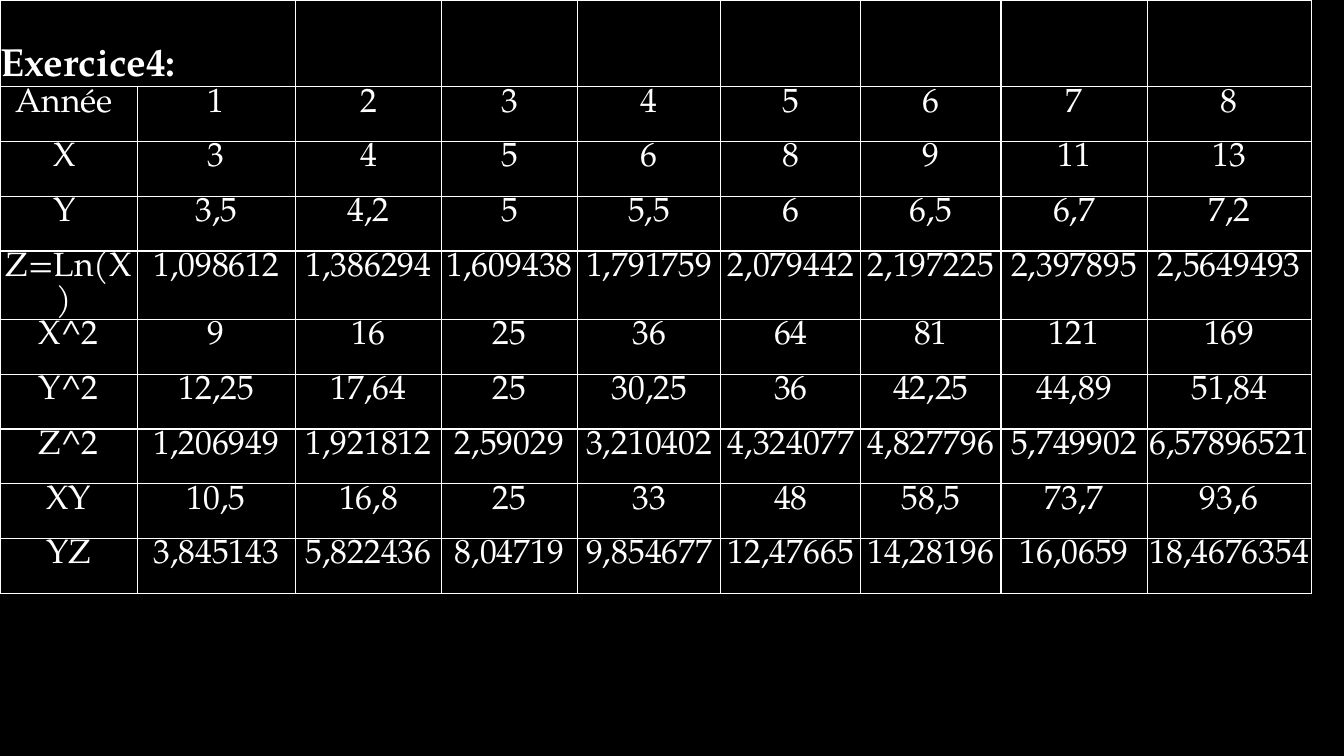
import lxml.etree
import pptx
import pptx.dml.color
import pptx.enum.text
import pptx.oxml.ns
import pptx.util

Inches = pptx.util.Inches
BLACK = pptx.dml.color.RGBColor(0x00, 0x00, 0x00)
WHITE = pptx.dml.color.RGBColor(0xFF, 0xFF, 0xFF)
FONT = "TeX Gyre Pagella"
TITLE = "Exercice4:"
TITLE_HEIGHT = 0.86
COLUMN_WIDTHS = [1.36, 1.57, 1.45, 1.35, 1.42, 1.39, 1.39, 1.45, 1.63]
SERIES = [
    ["Année ", "1", "2", "3", "4", "5", "6", "7", "8"],
    ["X ", "3", "4", "5", "6", "8", "9", "11", "13"],
    ["Y ", "3,5", "4,2", "5", "5,5", "6", "6,5", "6,7", "7,2"],
    ["Z=Ln(X) ", "1,098612", "1,386294", "1,609438", "1,791759",
     "2,079442", "2,197225", "2,397895", "2,5649493"],
    ["X^2", "9", "16", "25", "36", "64", "81", "121", "169"],
    ["Y^2", "12,25", "17,64", "25", "30,25", "36", "42,25", "44,89", "51,84"],
    ["Z^2", "1,206949", "1,921812", "2,59029", "3,210402",
     "4,324077", "4,827796", "5,749902", "6,57896521"],
    ["XY", "10,5", "16,8", "25", "33", "48", "58,5", "73,7", "93,6"],
    ["YZ", "3,845143", "5,822436", "8,04719", "9,854677",
     "12,47665", "14,28196", "16,0659", "18,4676354"],
]


def style_cell(cell):
    """Give a cell thin white borders, no fill and tight margins."""
    properties = cell._tc.get_or_add_tcPr()
    for side in ("a:lnL", "a:lnR", "a:lnT", "a:lnB"):
        border = lxml.etree.SubElement(properties, pptx.oxml.ns.qn(side), w=str(pptx.util.Pt(1)))
        fill = lxml.etree.SubElement(border, pptx.oxml.ns.qn("a:solidFill"))
        lxml.etree.SubElement(fill, pptx.oxml.ns.qn("a:srgbClr"), val=str(WHITE))
    cell.fill.background()
    cell.margin_left = cell.margin_top = cell.margin_right = Inches(0.01)
    cell.margin_bottom = 0


def write_cell(cell, text, size, bold, alignment):
    """Write one run of white text in a cell."""
    paragraph = cell.text_frame.paragraphs[0]
    paragraph.alignment = alignment
    run = paragraph.add_run()
    run.text = text
    run.font.name = FONT
    run.font.size = pptx.util.Pt(size)
    run.font.bold = bold
    run.font.color.rgb = WHITE


def add_exercise_table(slide, left, top, width, height):
    """Place the exercise table, with its title row, in the given box."""
    table = slide.shapes.add_table(
        len(SERIES) + 1, len(COLUMN_WIDTHS),
        Inches(left), Inches(top), Inches(width), Inches(height)).table
    table.first_row = table.horz_banding = False
    for column, share in zip(table.columns, COLUMN_WIDTHS):
        column.width = Inches(width * share / sum(COLUMN_WIDTHS))
    for row in table.rows:
        row.height = Inches((height - TITLE_HEIGHT) / len(SERIES))
    table.rows[0].height = Inches(TITLE_HEIGHT)
    for cell in table.iter_cells():
        style_cell(cell)

    title = table.cell(0, 0)
    title.merge(table.cell(0, 1))
    title.vertical_anchor = pptx.enum.text.MSO_ANCHOR.BOTTOM
    write_cell(title, TITLE, 28, True, pptx.enum.text.PP_ALIGN.LEFT)
    for row_index, values in enumerate(SERIES, start=1):
        for column_index, value in enumerate(values):
            write_cell(table.cell(row_index, column_index), value, 24, False,
                       pptx.enum.text.PP_ALIGN.CENTER)


def main():
    """Build the slide and save it."""
    presentation = pptx.Presentation()
    presentation.slide_width = Inches(13.33)
    presentation.slide_height = Inches(7.5)
    slide = presentation.slides.add_slide(presentation.slide_layouts[6])
    slide.background.fill.solid()
    slide.background.fill.fore_color.rgb = BLACK
    add_exercise_table(slide, 0, 0, 13.01, 5.75)
    presentation.save("out.pptx")


if __name__ == "__main__":
    main()
